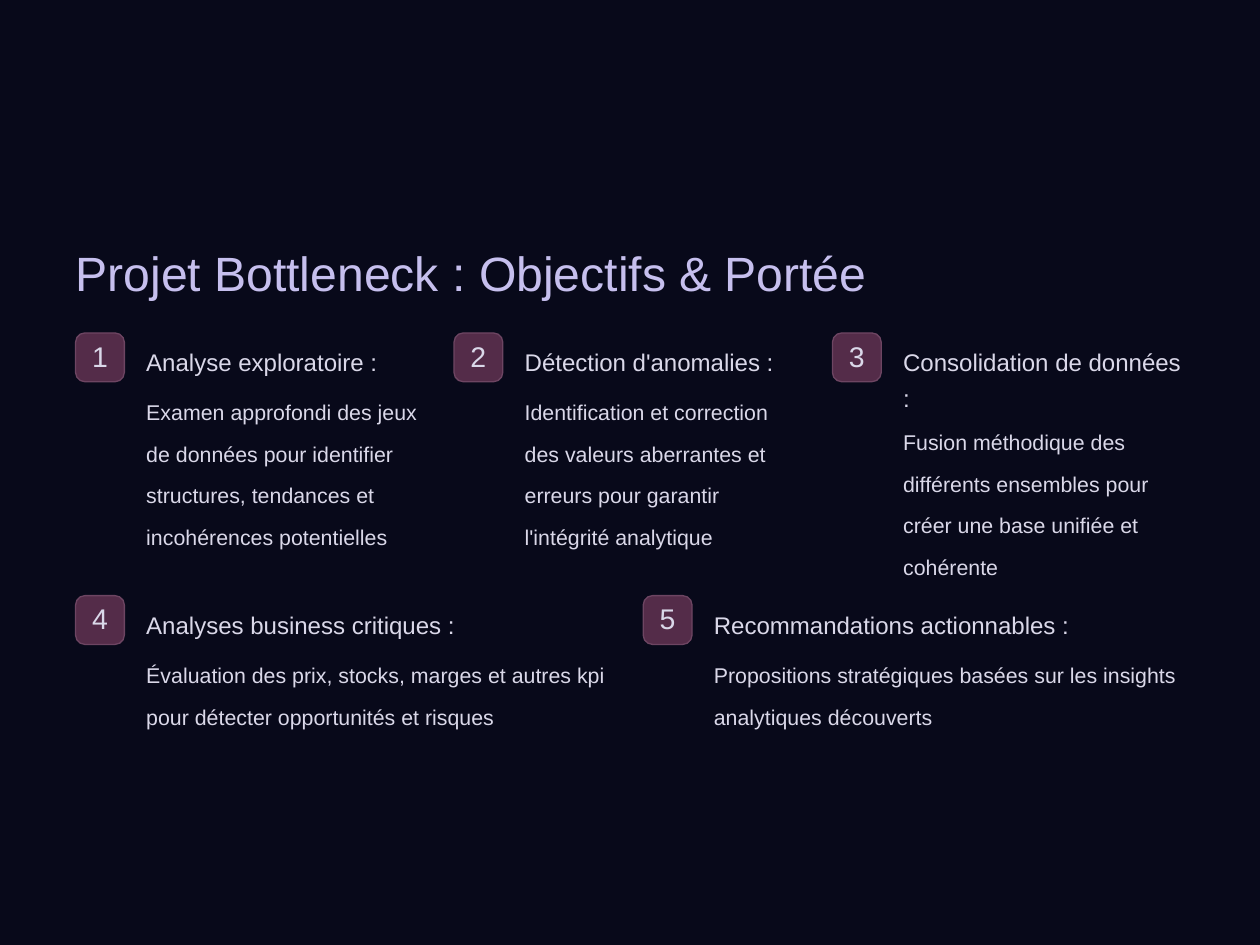
"""Build the slide on the goals and scope of the Bottleneck project."""
from pptx import Presentation
from pptx.dml.color import RGBColor
from pptx.enum.shapes import MSO_SHAPE as Shape
from pptx.enum.text import MSO_ANCHOR as Anchor, MSO_AUTO_SIZE as AutoSize, PP_ALIGN as Align
from pptx.util import Pt

TITLE = "Projet Bottleneck : Objectifs & Portée"
GOAL_ROWS = [
    (304.4, [
        ("Analyse exploratoire :", 1,
         "Examen approfondi des jeux de données pour identifier structures, "
         "tendances et incohérences potentielles", 4),
        ("Détection d'anomalies :", 1,
         "Identification et correction des valeurs aberrantes et erreurs "
         "pour garantir l'intégrité analytique", 4),
        ("Consolidation de données :", 2,
         "Fusion méthodique des différents ensembles pour créer une base "
         "unifiée et cohérente", 4),
    ]),
    (544.6, [
        ("Analyses business critiques :", 1,
         "Évaluation des prix, stocks, marges et autres kpi pour détecter "
         "opportunités et risques", 2),
        ("Recommandations actionnables :", 1,
         "Propositions stratégiques basées sur les insights analytiques "
         "découverts", 2),
    ]),
]
COLORS = {"background": "08091A", "title": "C6BFEE", "text": "DAD8E9",
          "badge": "542C49", "badge_line": "6D4562"}
FONT = "Arial"
SLIDE_W, SLIDE_H = 1152, 864
MARGIN, GAP = 69.1, 24.2
CONTENT_W = SLIDE_W - 2 * MARGIN
BADGE, INDENT = 44.6, 64.6
HEADING_DROP, HEADING_LINE, HEADING_GAP = 6.9, 27.4, 12.1
BODY_LINE = 31.7


def color(name):
    return RGBColor.from_string(COLORS[name])


def write(frame, text, size, tint="text", spacing=1.0, align=Align.LEFT, anchor=Anchor.TOP):
    frame.word_wrap = True
    frame.auto_size = AutoSize.NONE
    frame.vertical_anchor = anchor
    frame.margin_left = frame.margin_right = frame.margin_top = frame.margin_bottom = 0
    frame.text = text
    line = frame.paragraphs[0]
    line.alignment = align
    line.line_spacing = spacing
    line.font.name, line.font.size = FONT, Pt(size)
    line.font.color.rgb = color(tint)


def add_text(slide, left, top, width, height, text, size, spacing):
    box = slide.shapes.add_textbox(Pt(left), Pt(top), Pt(width), Pt(height))
    write(box.text_frame, text, size, spacing=spacing)


def add_badge(slide, left, top, number):
    badge = slide.shapes.add_shape(Shape.ROUNDED_RECTANGLE, Pt(left), Pt(top), Pt(BADGE), Pt(BADGE))
    badge.adjustments[0] = 0.19
    badge.shadow.inherit = False
    badge.fill.solid()
    badge.fill.fore_color.rgb = color("badge")
    badge.line.color.rgb = color("badge_line")
    badge.line.width = Pt(1.2)
    write(badge.text_frame, str(number), 26, align=Align.CENTER, anchor=Anchor.MIDDLE)
    badge.text_frame.margin_bottom = Pt(3)


def add_goal(slide, left, top, width, number, goal):
    heading, heading_lines, body, body_lines = goal
    text_left, text_width = left + INDENT, width - INDENT
    heading_top = top + HEADING_DROP
    heading_height = heading_lines * HEADING_LINE
    add_badge(slide, left, top, number)
    add_text(slide, text_left, heading_top, text_width, heading_height, heading, 22, 1.25)
    add_text(slide, text_left, heading_top + heading_height + HEADING_GAP,
             text_width, body_lines * BODY_LINE, body, 19.5, 1.62)


def main():
    deck = Presentation()
    deck.slide_width, deck.slide_height = Pt(SLIDE_W), Pt(SLIDE_H)
    slide = deck.slides.add_slide(deck.slide_layouts[5])
    slide.background.fill.solid()
    slide.background.fill.fore_color.rgb = color("background")

    title = slide.shapes.title
    title.left, title.top, title.width, title.height = Pt(MARGIN), Pt(209.5), Pt(816), Pt(54.7)
    write(title.text_frame, TITLE, 44, "title", 1.25)

    number = 1
    for top, goals in GOAL_ROWS:
        width = (CONTENT_W - GAP * (len(goals) - 1)) / len(goals)
        for column, goal in enumerate(goals):
            add_goal(slide, MARGIN + column * (width + GAP), top, width, number, goal)
            number += 1

    deck.save("out.pptx")


if __name__ == "__main__":
    main()
